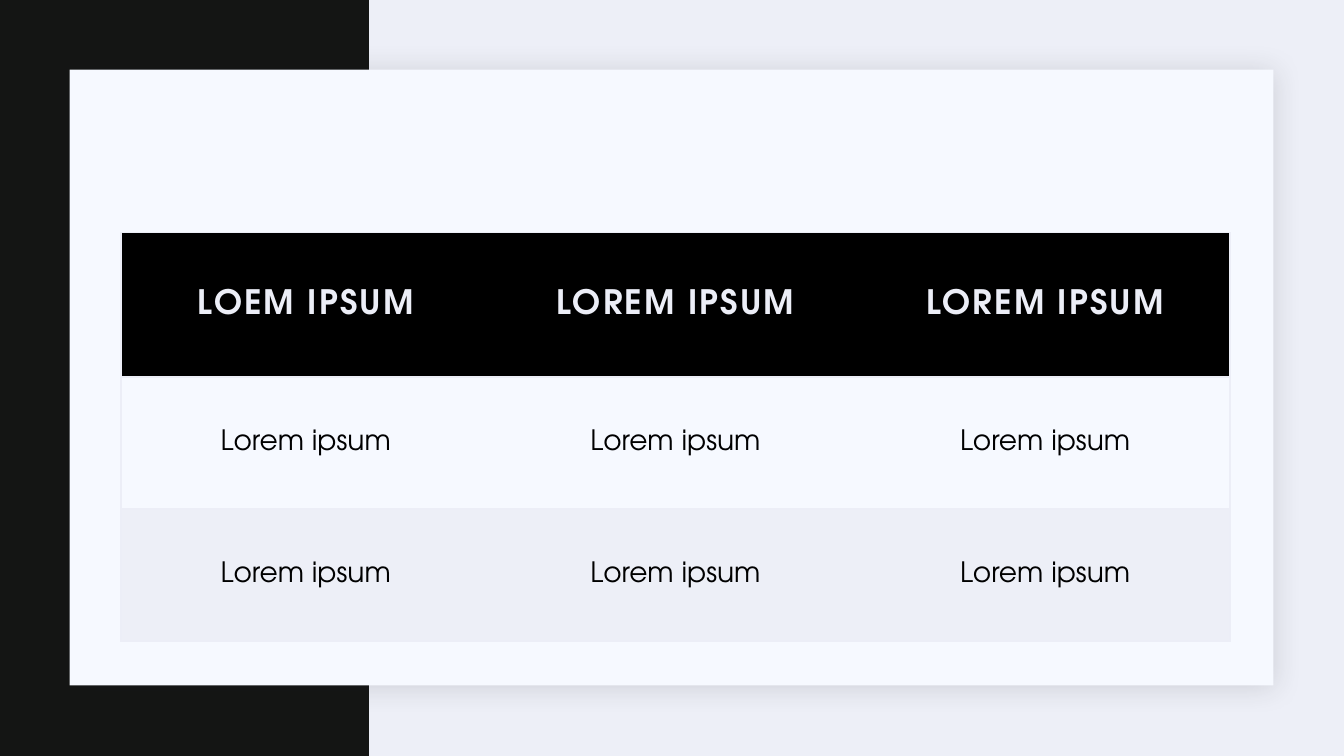
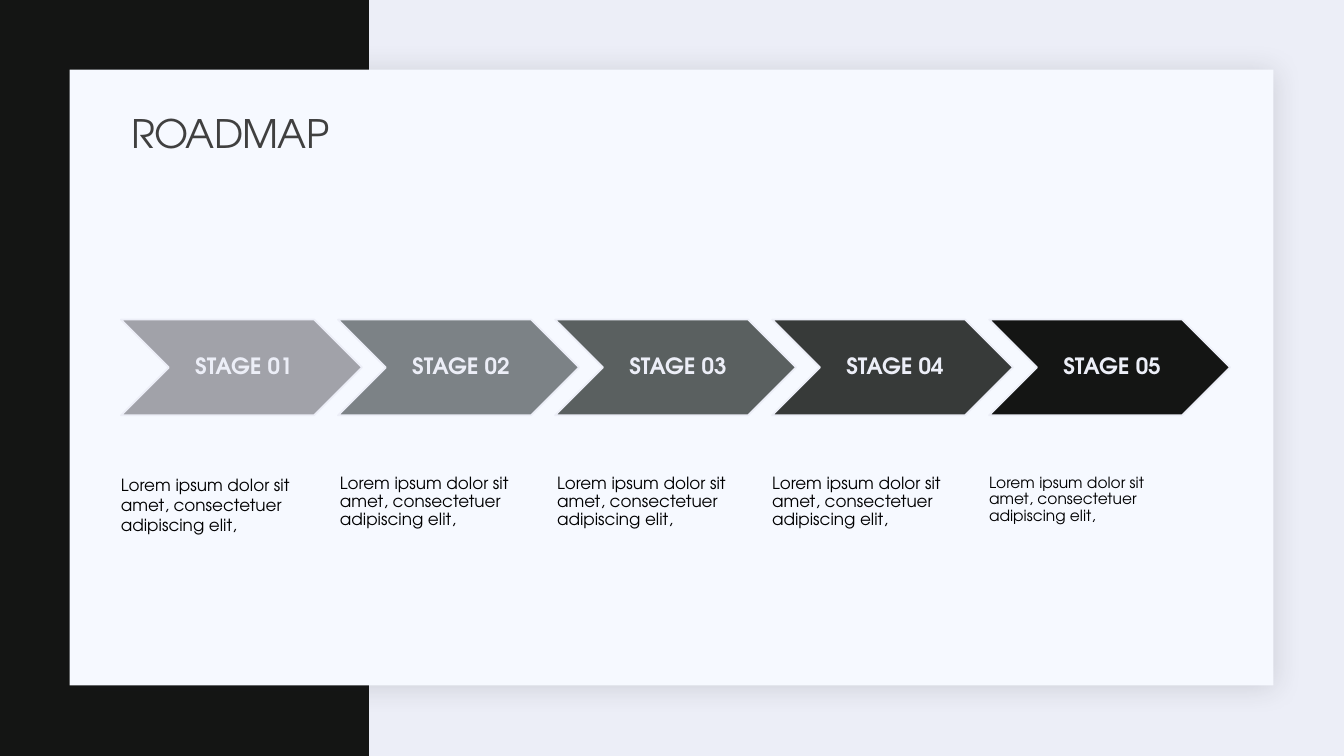
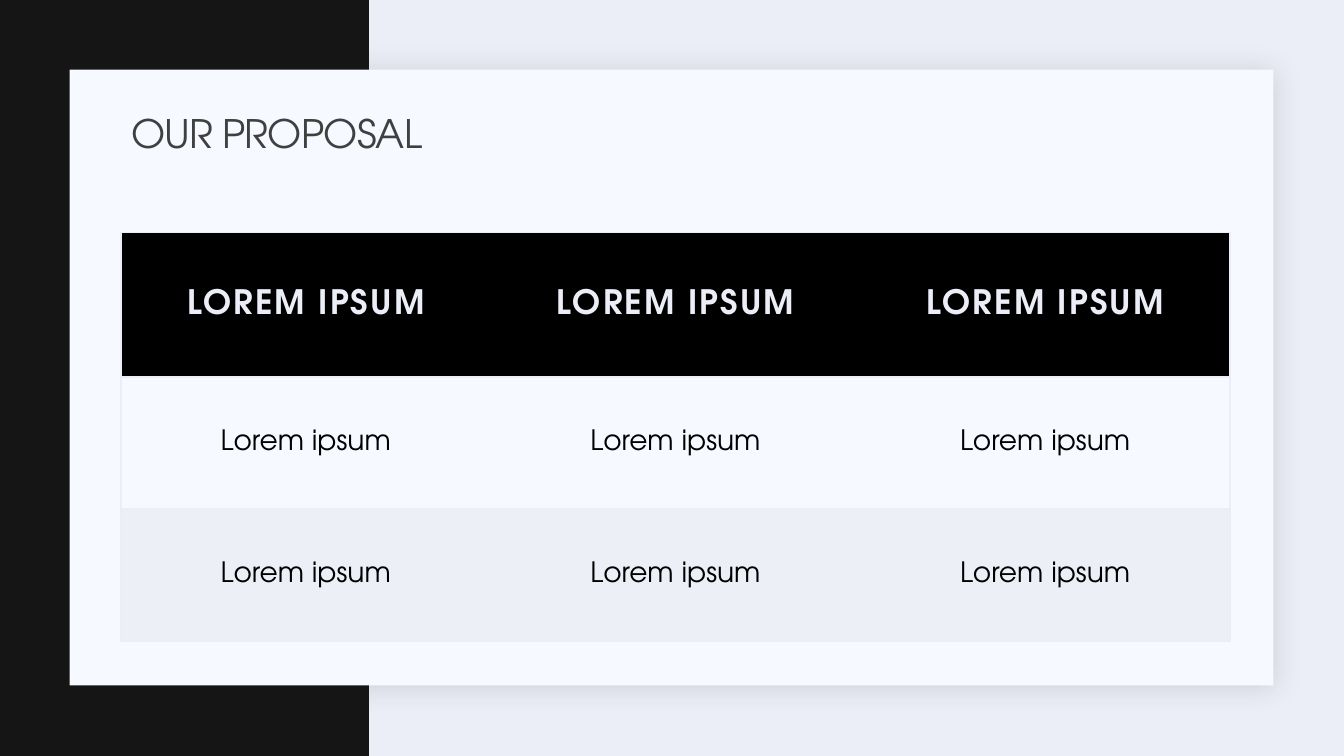
from lxml import etree
from pptx import Presentation
from pptx import util as u
from pptx.dml.color import RGBColor
from pptx.enum import shapes, text
from pptx.oxml import ns

FONT = "TeX Gyre Adventor"
INK, PAPER, MIST, PALE = "141514", "F6F9FF", "ECEEF7", "EDEFF7"
BLACK, TITLE_GREY = "000000", "404040"
TITLE_ONLY, BLANK = 5, 6

TITLE_BOX = (1.2, 1.03, 11, 0.64)
TABLE_BOX = (1.2, 2.31, 11, 4.05)
ROADMAP_BOX = (1.2, 3.17, 11, 2.39)

BODY_ROW = ["Lorem ipsum"] * 3
STAGE_COLORS = ["A1A2A9", "7C8286", "5A6060", "373A39", INK]
STAGE_TEXT = "Lorem ipsum dolor sit amet, consectetuer adipiscing elit,"
# Text size, line spacing, left indent and right inset of each stage text
STAGE_FORMATS = [
    (12, 1.0, 0, 0.2),
    (12, 0.9, 0.02, 0),
    (12, 0.9, 0.02, 0.2),
    (12, 0.9, 0, 0.2),
    (11, 0.9, 0, 0),
]


def rgb(color):
    return RGBColor.from_string(color)


def fill_solid(target, color):
    target.fill.solid()
    target.fill.fore_color.rgb = rgb(color)


def inches(box):
    return [u.Inches(length) for length in box]


def add_xml(parent, tag, **attributes):
    child = etree.SubElement(parent, ns.qn(tag))
    for name, value in attributes.items():
        child.set(name, str(value))
    return child


def write_text(frame, words, size, color, bold=False, align=text.PP_ALIGN.LEFT,
               line=1.0, tracking=0, indent=0):
    """Put one formatted paragraph in a text frame."""
    paragraph = frame.paragraphs[0]
    paragraph.alignment = align
    paragraph.line_spacing = line
    if indent:
        paragraph._p.get_or_add_pPr().set("marL", str(u.Inches(indent)))
    run = paragraph.add_run()
    run.text = words
    run.font.name = FONT
    run.font.size = u.Pt(size)
    run.font.bold = bold
    run.font.color.rgb = rgb(color)
    if tracking:
        run.font._element.set("spc", str(int(tracking * 100)))


def set_insets(frame, left, top, right, bottom):
    frame.margin_left, frame.margin_top = u.Inches(left), u.Inches(top)
    frame.margin_right, frame.margin_bottom = u.Inches(right), u.Inches(bottom)


def add_box(slide, preset, box, color):
    shape = slide.shapes.add_shape(preset, *inches(box))
    shape.shadow.inherit = False
    fill_solid(shape, color)
    shape.line.fill.background()
    return shape


def add_soft_shadow(shape):
    effects = shape.element.spPr.find(ns.qn("a:effectLst"))
    shadow = add_xml(effects, "a:outerShdw", blurRad=u.Pt(20), dist=u.Pt(2),
                     dir=45 * 60000, algn="tl", rotWithShape=0)
    color = add_xml(shadow, "a:srgbClr", val="1F2125")
    add_xml(color, "a:alpha", val=15000)


def build_master(presentation, slide):
    """Move the shared band and panel to the slide master."""
    master = presentation.slide_master
    fill_solid(master.background, MIST)
    rectangle = shapes.MSO_SHAPE.RECTANGLE
    band = add_box(slide, rectangle, (0, 0, 3.66, 7.5), INK)
    panel = add_box(slide, rectangle, (0.69, 0.69, 11.94, 6.11), PAPER)
    add_soft_shadow(panel)
    for order, shape in enumerate((band, panel)):
        shape.element.nvSpPr.cNvPr.set("id", str(100 + order))
        master.shapes.element.insert(2 + order, shape.element)


def add_title(slide, words):
    title = slide.shapes.title
    title.left, title.top, title.width, title.height = inches(TITLE_BOX)
    title.text_frame.vertical_anchor = text.MSO_ANCHOR.MIDDLE
    write_text(title.text_frame, words, 28, TITLE_GREY, line=0.9, tracking=-0.5)


def set_borders(cell, visible_sides):
    properties = cell._tc.get_or_add_tcPr()
    for order, side in enumerate("LRTB"):
        border = add_xml(properties, f"a:ln{side}", w=u.Pt(1))
        if side in visible_sides:
            add_xml(add_xml(border, "a:solidFill"), "a:srgbClr", val=MIST)
        else:
            add_xml(border, "a:noFill")
        properties.insert(order, border)


def add_proposal_table(slide, box, rows):
    table = slide.shapes.add_table(len(rows), len(rows[0]), *inches(box)).table
    for row, height in zip(table.rows, (1.43, 1.31, 1.31)):
        row.height = u.Inches(height)
    last_column = len(rows[0]) - 1
    for row_index, row in enumerate(rows):
        for column_index, words in enumerate(row):
            cell = table.cell(row_index, column_index)
            fill_solid(cell, (BLACK, PAPER, PALE)[row_index])
            cell.vertical_anchor = text.MSO_ANCHOR.MIDDLE
            set_insets(cell, 0.25, 0.25, 0.25, 0.25)
            set_borders(cell, "TB" + "L" * (column_index == 0)
                        + "R" * (column_index == last_column))
            if row_index == 0:
                style = dict(size=24, color=MIST, bold=True, tracking=1.5)
            else:
                style = dict(size=20, color=BLACK)
            write_text(cell.text_frame, words, align=text.PP_ALIGN.CENTER, **style)


def add_stage(slide, box, label, color, text_format):
    """Draw a chevron with its description underneath."""
    left, top, width, height = box
    chevron = add_box(slide, shapes.MSO_SHAPE.CHEVRON, (left, top, width, 0.95), color)
    chevron.line.color.rgb = rgb(MIST)
    chevron.line.width = u.Pt(1.25)
    set_insets(chevron.text_frame, 0.07, 0.02, 0.02, 0.02)
    chevron.text_frame.vertical_anchor = text.MSO_ANCHOR.MIDDLE
    write_text(chevron.text_frame, label, 16, MIST, bold=True,
               align=text.PP_ALIGN.CENTER, line=0.9)

    size, line, indent, right_inset = text_format
    description = slide.shapes.add_textbox(
        *inches((left, top + 1.07, width * 0.8, height - 1.07)))
    frame = description.text_frame
    frame.word_wrap = True
    set_insets(frame, 0, 0.47, right_inset, 0)
    write_text(frame, STAGE_TEXT, size, BLACK, line=line, indent=indent)


def add_roadmap(slide, box):
    left, top, width, height = box
    stage_width = 2.39
    step = (width - stage_width) / (len(STAGE_COLORS) - 1)
    for index, (color, text_format) in enumerate(zip(STAGE_COLORS, STAGE_FORMATS)):
        add_stage(slide, (left + index * step, top, stage_width, height),
                  f"STAGE {index + 1:02}", color, text_format)


def add_slide(presentation, title=None):
    layout = presentation.slide_layouts[TITLE_ONLY if title else BLANK]
    slide = presentation.slides.add_slide(layout)
    if title:
        add_title(slide, title)
    return slide


def main():
    presentation = Presentation()
    presentation.slide_width = u.Inches(13.33)
    presentation.slide_height = u.Inches(7.5)

    # Untitled table
    slide = add_slide(presentation)
    build_master(presentation, slide)
    fill_solid(slide.background, PALE)
    header = ["LOEM IPSUM", "LOREM IPSUM", "LOREM IPSUM"]
    add_proposal_table(slide, TABLE_BOX, [header, BODY_ROW, BODY_ROW])

    # Roadmap
    slide = add_slide(presentation, "ROADMAP")
    add_roadmap(slide, ROADMAP_BOX)

    # Proposal table
    slide = add_slide(presentation, "OUR PROPOSAL")
    add_proposal_table(slide, TABLE_BOX, [["LOREM IPSUM"] * 3, BODY_ROW, BODY_ROW])

    presentation.save("out.pptx")


if __name__ == "__main__":
    main()
